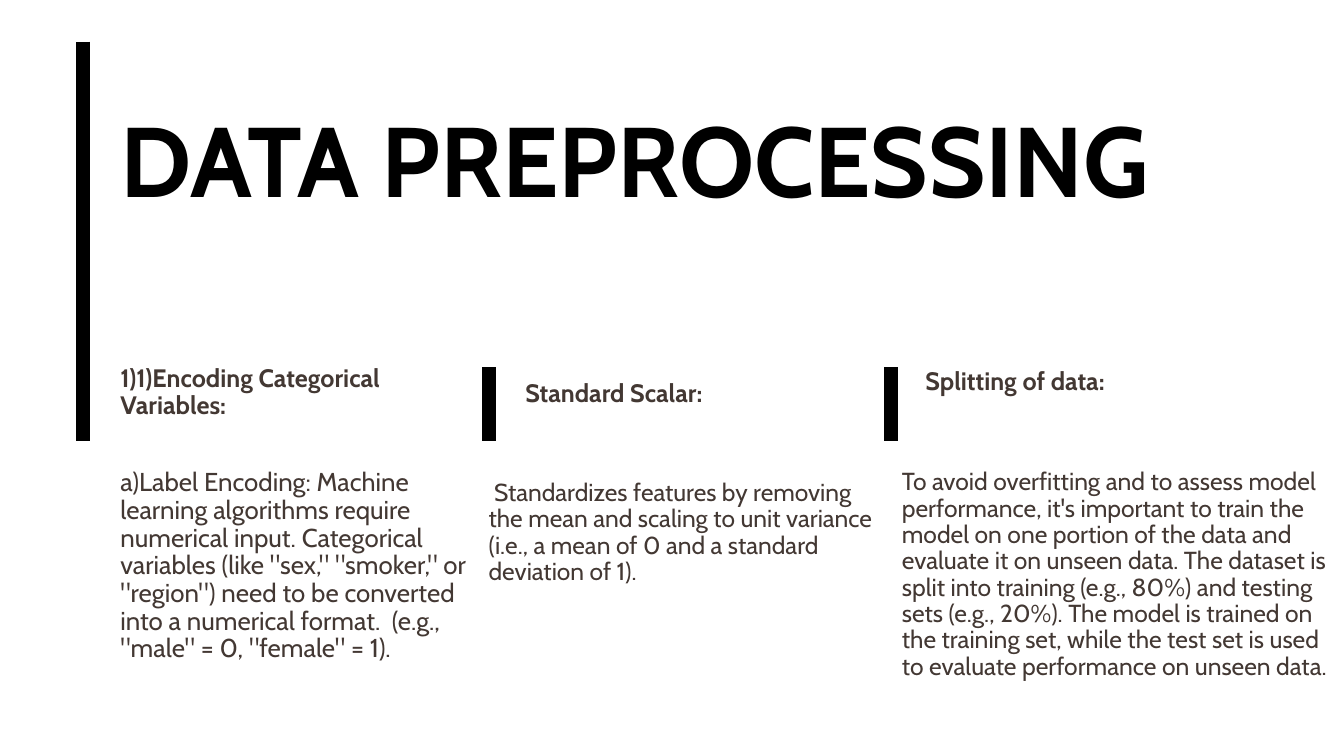
from dataclasses import dataclass

from lxml.etree import SubElement
from pptx import Presentation
from pptx.dml.color import RGBColor
from pptx.enum.shapes import MSO_CONNECTOR
from pptx.enum.text import MSO_AUTO_SIZE
from pptx.oxml.ns import qn
from pptx.util import Cm, Pt


@dataclass(frozen=True)
class Theme:
    font: str = "Cabin"
    black: RGBColor = RGBColor(0, 0, 0)
    brown: RGBColor = RGBColor(0x43, 0x38, 0x33)
    rule_width: float = 15
    title_size: float = 106
    title_leading: float = 98.6
    heading_size: float = 27
    heading_leading: float = 28.9


THEME = Theme()

# Region boxes are (left, top, width, height) in cm
TITLE_BOX = (4.57, 4.75, 43.03, 3.71)
TITLE_RULE_TOP = 1.57
COLUMN_TOP, HEADER_HEIGHT = 13.89, 2.8

# Heading and body boxes are offsets from the top of the column's rule
COLUMNS = [
    {
        "left": 3.12,
        "rule_top": TITLE_RULE_TOP,
        "heading": "1)1)Encoding Categorical Variables:",
        "heading_box": (1.43, -0.05, 12.52, 3.02),
        "body": 'a)Label Encoding: Machine learning algorithms require numerical input. '
                'Categorical variables (like "sex," "smoker," or "region") need to be '
                'converted into a numerical format.  (e.g., "male" = 0, "female" = 1).',
        "body_box": (1.43, 3.86, 13.87, 9.25),
        "body_size": 27.7,
        "body_leading": 29.6,
    },
    {
        "left": 18.47,
        "rule_top": COLUMN_TOP,
        "heading": "Standard Scalar:",
        "heading_box": (1.39, 0.49, 12.52, 1.02),
        "body": " Standardizes features by removing the mean and scaling to unit "
                "variance (i.e., a mean of 0 and a standard deviation of 1).",
        "body_box": (0, 4.27, 14.76, 3.94),
        "body_size": 26.3,
        "body_leading": 28.1,
    },
    {
        "left": 33.68,
        "rule_top": COLUMN_TOP,
        "heading": "Splitting of data:",
        "heading_box": (1.3, 0.03, 12.52, 1.02),
        "body": "To avoid overfitting and to assess model performance, it's important "
                "to train the model on one portion of the data and evaluate it on unseen "
                "data. The dataset is split into training (e.g., 80%) and testing sets "
                "(e.g., 20%). The model is trained on the training set, while the test "
                "set is used to evaluate performance on unseen data.",
        "body_box": (0.41, 3.86, 16.71, 8.81),
        "body_size": 26.4,
        "body_leading": 28.2,
    },
]


def set_all(target, values):
    for name, value in values.items():
        setattr(target, name, value)


def add_text(slide, box, words, size, leading, color, bold=False):
    frame = slide.shapes.add_textbox(*map(Cm, box)).text_frame
    set_all(frame, {
        "word_wrap": True,
        "auto_size": MSO_AUTO_SIZE.SHAPE_TO_FIT_TEXT,
        "margin_left": 0, "margin_top": 0, "margin_right": 0, "margin_bottom": 0,
    })
    paragraph = frame.paragraphs[0]
    paragraph.line_spacing = Pt(leading)
    run = paragraph.add_run()
    run.text = words
    set_all(run.font, {"name": THEME.font, "size": Pt(size), "bold": bold})
    run.font.color.rgb = color


def add_rule(slide, left, top, bottom):
    rule = slide.shapes.add_connector(
        MSO_CONNECTOR.STRAIGHT, Cm(left), Cm(top), Cm(left), Cm(bottom))
    rule.line.width = Pt(THEME.rule_width)
    rule.line.color.rgb = THEME.black
    SubElement(rule._element.spPr, qn("a:effectLst"))


def build_title(slide, box):
    add_text(slide, box, "DATA PREPROCESSING", THEME.title_size,
             THEME.title_leading, THEME.black, bold=True)


def build_column(slide, left, top, column):
    def place(box):
        dx, dy, width, height = box
        return left + dx, top + dy, width, height

    # Vertical rule beside the heading
    add_rule(slide, left, column["rule_top"], top + HEADER_HEIGHT)
    # Heading and explanation
    add_text(slide, place(column["heading_box"]), column["heading"],
             THEME.heading_size, THEME.heading_leading, THEME.brown, bold=True)
    add_text(slide, place(column["body_box"]), column["body"],
             column["body_size"], column["body_leading"], THEME.brown)


def main():
    deck = Presentation()
    set_all(deck, {"slide_width": Cm(50.8), "slide_height": Cm(28.58)})
    slide = deck.slides.add_slide(deck.slide_layouts[6])
    build_title(slide, TITLE_BOX)
    for column in COLUMNS:
        build_column(slide, column["left"], COLUMN_TOP, column)
    deck.save("out.pptx")


if __name__ == "__main__":
    main()
